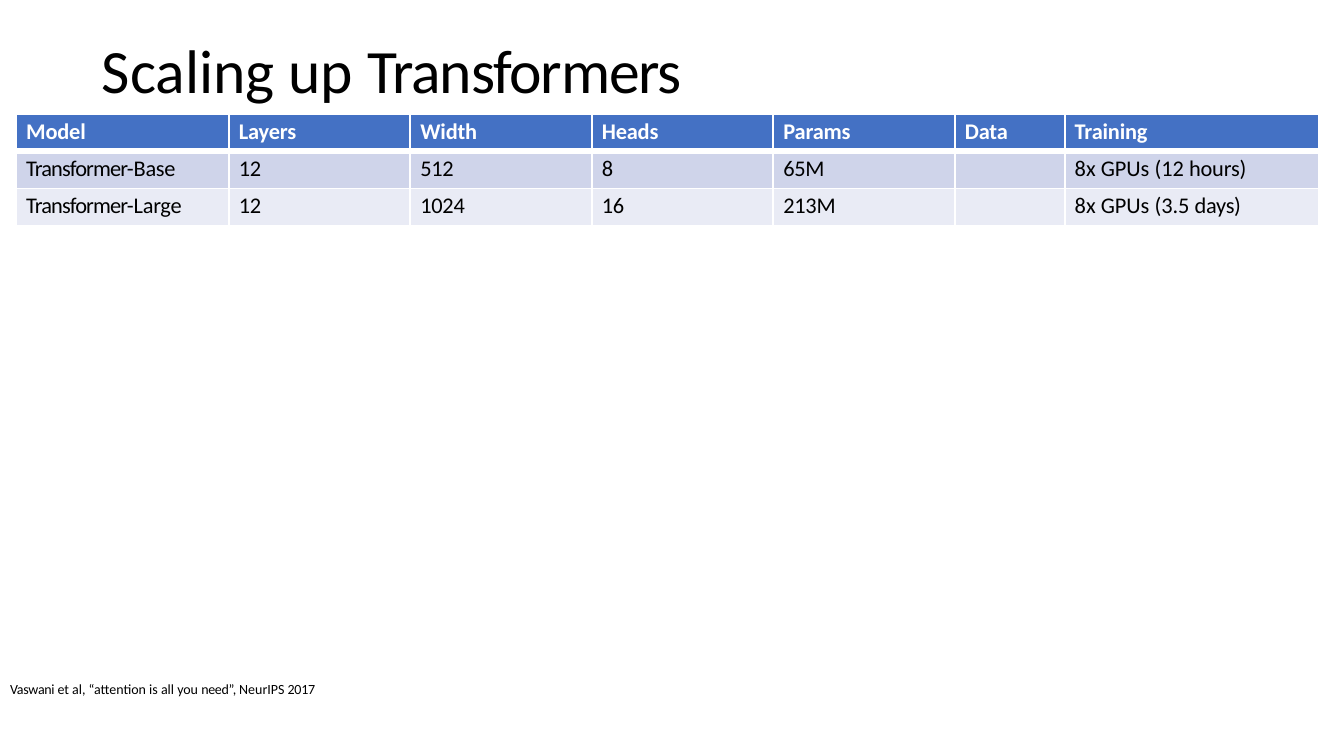
import pptx
import pptx.dml.color
import pptx.enum.text
import pptx.oxml
import pptx.oxml.ns
import pptx.util

Inches = pptx.util.Inches
BLACK = pptx.dml.color.RGBColor(0x00, 0x00, 0x00)
WHITE = pptx.dml.color.RGBColor(0xFF, 0xFF, 0xFF)
BLUE = pptx.dml.color.RGBColor(0x44, 0x71, 0xC4)
BLUE_TINT = pptx.dml.color.RGBColor(0xCF, 0xD4, 0xEA)
PALE_TINT = pptx.dml.color.RGBColor(0xE9, 0xEB, 0xF5)

TITLE = [("Scaling up ", 0), ("Transformers", -0.9)]
CITATION = [
    ("Vaswani ", -0.2),
    ("et al, “attention is all you ", 0),
    ("need”, ", -0.2),
    ("NeurIPS ", 0),
    ("2017", -0.2),
]
HEADINGS = ["Model", "Layers", "Width", "Heads", "Params", "Data", "Training"]
MODELS = [
    [[("Transformer-", -0.6), ("Base", -0.2)], "12", "512", "8", "65M", "",
     [("8x GPUs (12 ", 0), ("hours)", -0.1)]],
    [[("Transformer-", -0.6), ("Large", -0.2)], "12", "1024", "16", "213M", "",
     [("8x GPUs (3.5 ", 0), ("days)", -0.2)]],
]
COLUMN_WIDTHS = [2.11, 1.8, 1.8, 1.8, 1.8, 1.09, 2.52]
ROW_HEIGHT = 0.37
ROW_FILLS = [BLUE, BLUE_TINT, PALE_TINT]
THIN, THICK = 1.5, 4.5


def set_values(target, values):
    """Set each named attribute of the target."""
    for name, value in values.items():
        setattr(target, name, value)


def write_spans(frame, spans, size, color, bold=False):
    """Write left-aligned spans, each with its own letter spacing in points."""
    para = frame.paragraphs[0]
    para.alignment = pptx.enum.text.PP_ALIGN.LEFT
    for text, spacing in spans:
        span = para.add_run()
        span.text = text
        set_values(span.font, {"name": "Calibri", "size": pptx.util.Pt(size), "bold": bold})
        span.font.color.rgb = color
        span._r.get_or_add_rPr().set("spc", str(round(spacing * 100)))


def fit_box(box, left, top, width, height, wrap):
    """Place a text box and give it tight margins."""
    set_values(box, {"left": Inches(left), "top": Inches(top),
                     "width": Inches(width), "height": Inches(height)})
    set_values(box.text_frame, {
        "margin_left": Inches(0.01), "margin_top": Inches(0.02),
        "margin_right": 0, "margin_bottom": 0, "word_wrap": wrap,
        "vertical_anchor": pptx.enum.text.MSO_ANCHOR.TOP,
        "auto_size": pptx.enum.text.MSO_AUTO_SIZE.SHAPE_TO_FIT_TEXT,
    })


def add_title(page, left, top, width, height):
    """Fill the title placeholder."""
    box = page.shapes.title
    fit_box(box, left, top, width, height, True)
    write_spans(box.text_frame, TITLE, 44, BLACK)


def add_borders(cell, top, bottom):
    """Draw white borders around a cell, with the given top and bottom weights."""
    properties = cell._tc.get_or_add_tcPr()
    for side, weight in {"L": THIN, "R": THIN, "T": top, "B": bottom}.items():
        properties.append(pptx.oxml.parse_xml(
            f'<a:ln{side} {pptx.oxml.ns.nsdecls("a")} w="{pptx.util.Pt(weight)}">'
            f'<a:solidFill><a:srgbClr val="{WHITE}"/></a:solidFill></a:ln{side}>'))


def add_model_table(page, left, top):
    """Add the table of model sizes and training costs."""
    rows = [HEADINGS] + MODELS
    table = page.shapes.add_table(
        len(rows), len(HEADINGS), Inches(left), Inches(top),
        Inches(sum(COLUMN_WIDTHS)), Inches(ROW_HEIGHT * len(rows))).table
    for column, width in zip(table.columns, COLUMN_WIDTHS):
        column.width = Inches(width)
    for row_index, values in enumerate(rows):
        table.rows[row_index].height = Inches(ROW_HEIGHT)
        heading = row_index == 0
        for column_index, value in enumerate(values):
            cell = table.cell(row_index, column_index)
            set_values(cell, {"margin_left": Inches(0.1), "margin_top": Inches(0.04),
                              "margin_right": 0, "margin_bottom": 0})
            add_borders(cell, THICK if row_index == 1 else THIN, THICK if heading else THIN)
            cell.fill.solid()
            cell.fill.fore_color.rgb = ROW_FILLS[row_index]
            if value:
                spans = [(value, -0.1 if heading else -0.2)] if isinstance(value, str) else value
                write_spans(cell.text_frame, spans, 16, WHITE if heading else BLACK, heading)


def add_citation(page, left, top, width, height):
    """Add the source line at the foot of the slide."""
    box = page.shapes.add_textbox(0, 0, 0, 0)
    fit_box(box, left, top, width, height, True)
    write_spans(box.text_frame, CITATION, 10, BLACK)


def main():
    """Build and save the slide."""
    deck = pptx.Presentation()
    set_values(deck, {"slide_width": Inches(13.33), "slide_height": Inches(7.5)})
    page = deck.slides.add_slide(deck.slide_layouts[5])
    add_title(page, 1, 0.3, 11.96, 0.76)
    add_model_table(page, 0.16, 1.13)
    add_citation(page, 0.09, 6.73, 3.09, 0.19)
    deck.save("out.pptx")


if __name__ == "__main__":
    main()
